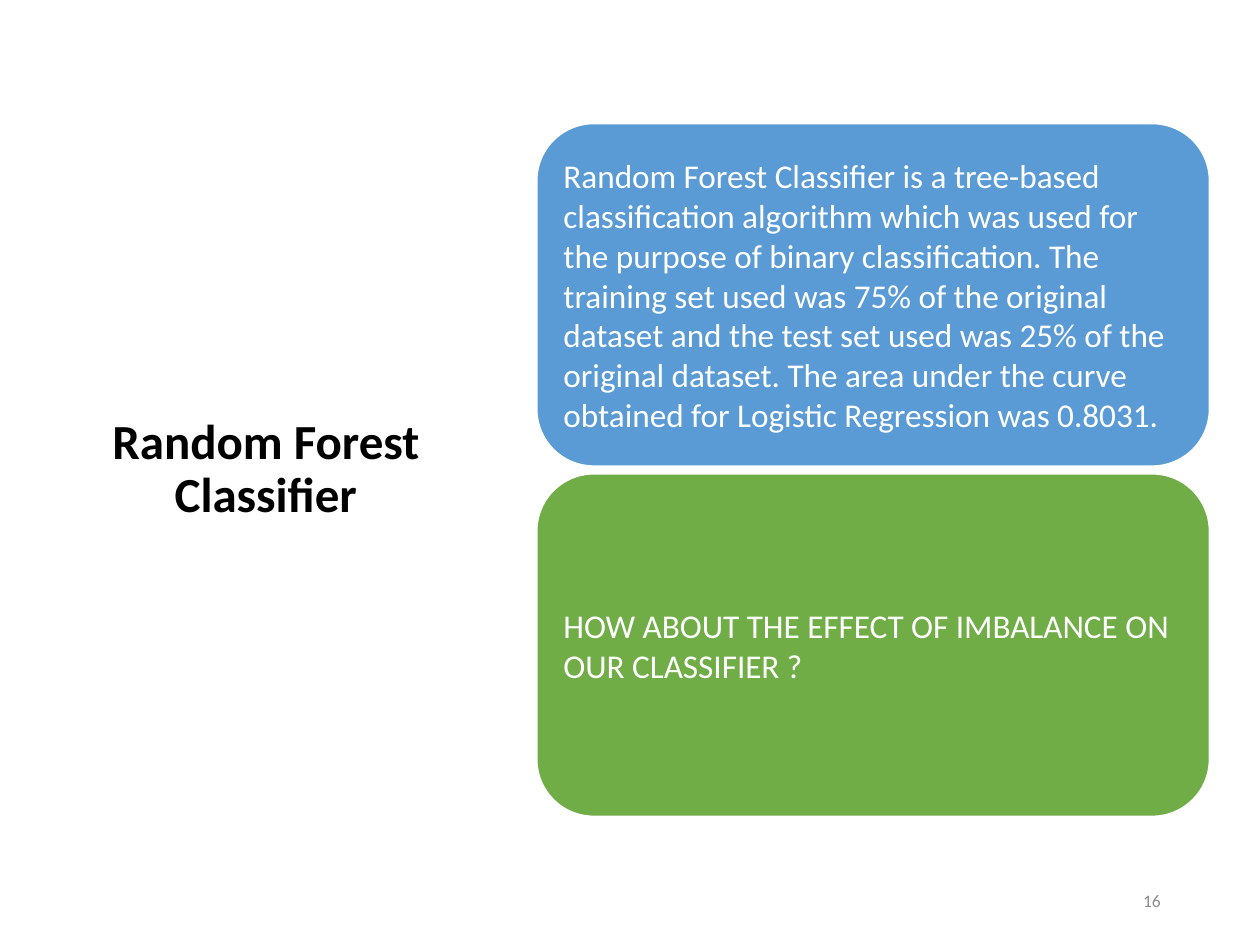
from pptx import Presentation
from pptx.dml.color import RGBColor
from pptx.enum.shapes import MSO_SHAPE
from pptx.enum.text import MSO_ANCHOR, PP_ALIGN
from pptx.util import Inches, Pt

ROUNDED = MSO_SHAPE.ROUNDED_RECTANGLE
MIDDLE = MSO_ANCHOR.MIDDLE
LEFT, CENTER, RIGHT = PP_ALIGN.LEFT, PP_ALIGN.CENTER, PP_ALIGN.RIGHT

BLACK = RGBColor(0x00, 0x00, 0x00)
WHITE = RGBColor(0xFF, 0xFF, 0xFF)
GRAY = RGBColor(0x8C, 0x8C, 0x8C)
BLUE = RGBColor(0x5B, 0x9B, 0xD5)
GREEN = RGBColor(0x70, 0xAD, 0x47)

# Content
TITLE = "Random Forest Classifier"
PAGE_NUMBER = "16"
CARDS = [
    ("Random Forest Classifier is a tree-based classification algorithm which "
     "was used for the purpose of binary classification. The training set used "
     "was 75% of the original dataset and the test set used was 25% of the "
     "original dataset. The area under the curve obtained for Logistic "
     "Regression was 0.8031.", BLUE),
    ("HOW ABOUT THE EFFECT OF IMBALANCE ON OUR CLASSIFIER ?", GREEN),
]

# Card stack
CARD_LEFT, CARD_TOP = 4.26, 0.98
CARD_WIDTH, CARD_HEIGHT = 5.34, 2.72
CARD_GAP = 0.06
CARD_MARGIN = 0.08


def write_text(shape, text, size, color, bold=False, align=LEFT, spacing=1.0):
    frame = shape.text_frame
    frame.word_wrap = True
    frame.vertical_anchor = MIDDLE
    paragraph = frame.paragraphs[0]
    paragraph.alignment = align
    paragraph.line_spacing = spacing
    run = paragraph.add_run()
    run.text = text
    run.font.name = "Calibri"
    run.font.size = Pt(size)
    run.font.bold = bold
    run.font.color.rgb = color


def add_card(slide, top, text, fill):
    card = slide.shapes.add_shape(ROUNDED, Inches(CARD_LEFT), Inches(top),
                                  Inches(CARD_WIDTH), Inches(CARD_HEIGHT))
    card.shadow.inherit = False
    card.fill.solid()
    card.fill.fore_color.rgb = fill
    card.line.color.rgb = WHITE
    card.line.width = Pt(1)
    frame = card.text_frame
    frame.margin_left = frame.margin_right = Inches(CARD_MARGIN)
    frame.margin_top = frame.margin_bottom = Inches(CARD_MARGIN)
    write_text(card, text, size=19, color=WHITE)


presentation = Presentation()
presentation.slide_width = Inches(10)
presentation.slide_height = Inches(7.5)
slide = presentation.slides.add_slide(presentation.slide_layouts[6])

# Title
title = slide.shapes.add_textbox(Inches(0.71), Inches(1.11), Inches(2.8), Inches(5.24))
write_text(title, TITLE, size=28, color=BLACK, bold=True, align=CENTER, spacing=0.9)

# Cards
for index, (text, fill) in enumerate(CARDS):
    add_card(slide, CARD_TOP + index * (CARD_HEIGHT + CARD_GAP), text, fill)

# Page number
number = slide.shapes.add_textbox(Inches(8.8), Inches(6.95), Inches(0.51), Inches(0.4))
write_text(number, PAGE_NUMBER, size=10, color=GRAY, align=RIGHT)

presentation.save("out.pptx")
